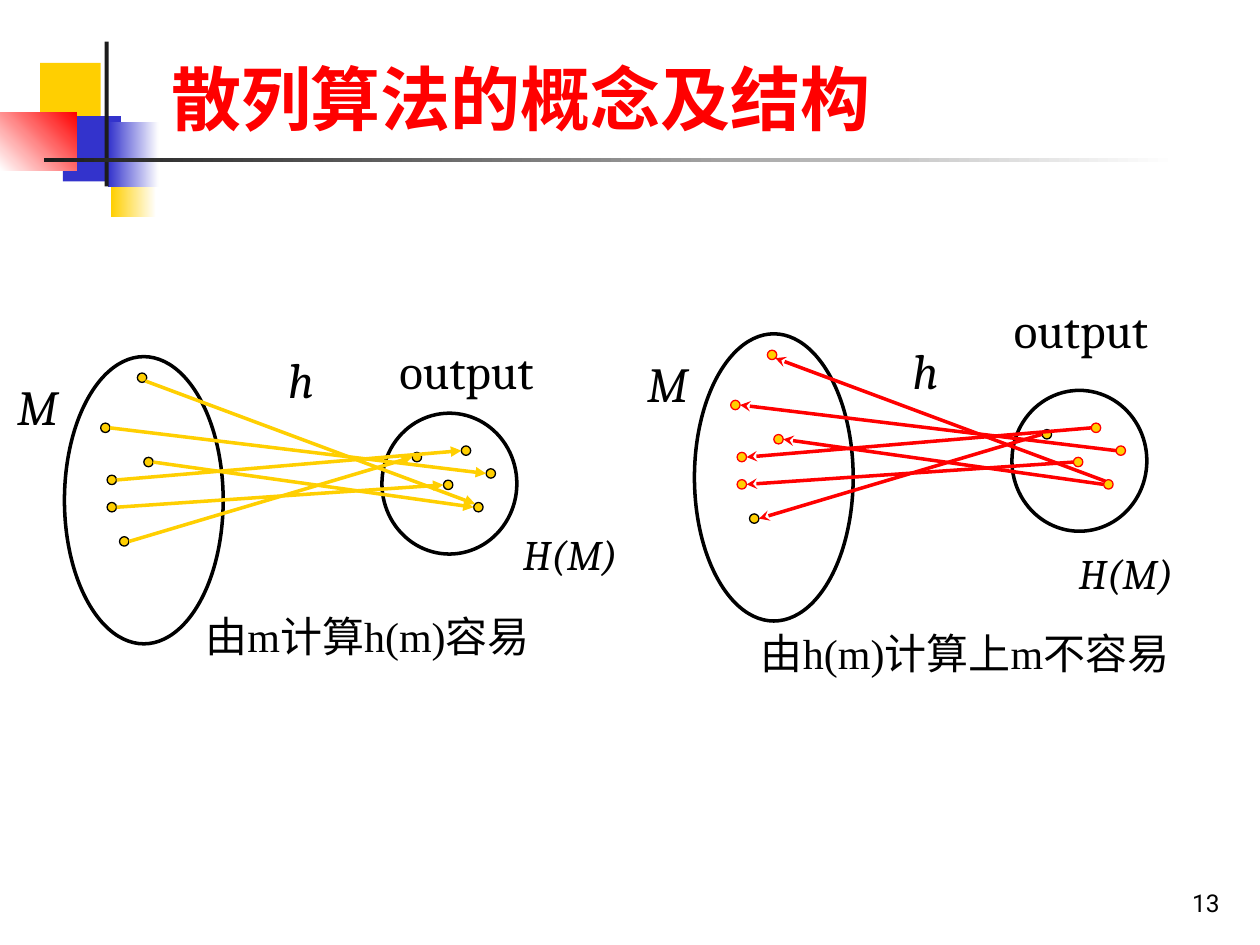
from pptx import Presentation
from pptx.dml.color import RGBColor
from pptx.enum.shapes import MSO_CONNECTOR as Conn, MSO_SHAPE as Geo
from pptx.enum.text import MSO_ANCHOR as Anchor, MSO_AUTO_SIZE as Fit, PP_ALIGN as Align
from pptx.oxml.ns import qn
from pptx.util import Cm, Pt
from lxml.etree import SubElement as Sub

BLACK = RGBColor(0x00, 0x00, 0x00)
WHITE = RGBColor(0xFF, 0xFF, 0xFF)
RED = RGBColor(0xFF, 0x00, 0x00)
GOLD = RGBColor(0xFF, 0xCF, 0x01)
BLUE = RGBColor(0x33, 0x33, 0xCC)
DARK = RGBColor(0x1C, 0x1C, 0x1C)

DOT = 0.19
MATH = {"name": "Cambria", "size": Pt(28), "italic": True}
WORD = {"name": "Cambria", "size": Pt(28)}
HASH = {"name": "Cambria", "size": Pt(24), "italic": True}
NOTE = {"name": "Times New Roman", "size": Pt(24)}
HEAD = {"name": "Roboto", "size": Pt(40), "bold": True}
PAGE = {"name": "Roboto", "size": Pt(14)}

# Top left corners of the dots in each set, before any shift
INPUT = [(2.03, 8.53), (2.41, 10.82), (2.9, 9.22), (2.16, 9.58), (2.16, 10.13), (2.77, 7.52)]
OUTPUT = [(9.8, 9.45), (8.31, 9.12), (9.55, 10.13), (9.3, 8.99), (8.94, 9.68)]
ODD = 1  # the pair that keeps a black outline
LAST = 5  # the pair that shares the output dot of pair 2


class Board:
    """Holds the style and the current slide; all lengths are in cm."""

    def __init__(self, slide):
        self.slide = slide
        self.thick, self.thin = Pt(2), Pt(0.75)

    def shape(self, geo, box):
        item = self.slide.shapes.add_shape(geo, *map(Cm, box))
        item.shadow.inherit = False
        return item

    def block(self, box, *tones, angle=0):
        item = self.shape(Geo.RECTANGLE, box)
        item.line.fill.background()
        if len(tones) == 1:
            item.fill.solid()
            item.fill.fore_color.rgb = tones[0]
            return
        item.fill.gradient()
        item.fill.gradient_angle = angle
        for stop, tone in zip(item.fill.gradient_stops, tones):
            stop.color.rgb = tone

    def ring(self, box):
        item = self.shape(Geo.OVAL, box)
        item.fill.background()
        item.line.color.rgb, item.line.width = BLACK, self.thick

    def dot(self, x, y, tone):
        item = self.shape(Geo.OVAL, (x, y, DOT, DOT))
        item.fill.solid()
        item.fill.fore_color.rgb = GOLD
        item.line.color.rgb, item.line.width = tone, self.thin

    def arrow(self, start, end, tone, tip, kind):
        item = self.slide.shapes.add_connector(Conn.STRAIGHT, *map(Cm, start + end))
        item.line.color.rgb, item.line.width = tone, self.thick
        Sub(item.line._get_or_add_ln(), qn("a:" + tip), type=kind)
        Sub(item._element.spPr, qn("a:effectLst"))

    def text(self, box, words, style, tone=BLACK, align=Align.LEFT,
             anchor=Anchor.TOP, wrap=False, fit=Fit.SHAPE_TO_FIT_TEXT):
        frame = self.slide.shapes.add_textbox(*map(Cm, box)).text_frame
        form = {"word_wrap": wrap, "auto_size": fit, "vertical_anchor": anchor}
        for key, value in form.items():
            setattr(frame, key, value)
        para = frame.paragraphs[0]
        para.alignment = align
        run = para.add_run()
        run.text = words
        for key, value in style.items():
            setattr(run.font, key, value)
        run.font.color.rgb = tone

    def map(self, dx, dy, tone, edge, tip, kind):
        """Draws the two sets, their dots and the arrows between them."""
        self.ring((1.3 + dx, 7.19 + dy, 3.2, 5.79))
        self.ring((7.7 + dx, 8.33 + dy, 2.72, 2.84))
        for i, (x, y) in enumerate(INPUT):
            u, v = OUTPUT[2 if i == LAST else i]
            x, y, u, v = x + dx, y + dy, u + dx, v + dy
            rim = BLACK if i == ODD else edge
            self.dot(x, y, rim)
            if i == LAST:
                start, end = (x + 0.16, y + 0.16), (u + 0.03, v + 0.03)
            else:
                self.dot(u, v, rim)
                start, end = (x + DOT, y + DOT / 2), (u, v + DOT / 2)
            self.arrow(start, end, tone, tip, kind)
        self.text((dx, 7.47 + dy, 1.42, 1.45), "M", MATH, align=Align.RIGHT)


def main():
    deck = Presentation()
    deck.slide_width, deck.slide_height = Cm(25.4), Cm(19.05)
    board = Board(deck.slides.add_slide(deck.slide_layouts[6]))

    # Corner blocks and rules
    board.block((0.81, 1.27, 1.22, 1.32), GOLD)
    board.block((2.24, 3.05, 0.91, 1.32), GOLD, WHITE)
    board.block((1.27, 2.34, 1.17, 1.32), BLUE)
    board.block((2.18, 2.46, 1.02, 1.32), BLUE, WHITE)
    board.block((0, 2.26, 1.55, 1.17), WHITE, RED, angle=45)
    board.block((2.11, 0.84, 0.08, 2.92), DARK)
    board.block((0.89, 3.18, 22.86, 0.08), DARK, WHITE)

    # Title and page number
    fixed = {"anchor": Anchor.BOTTOM, "wrap": True, "fit": Fit.NONE}
    board.text((3.2, 0.58, 21.64, 2.36), "散列算法的概念及结构", HEAD, RED, **fixed)
    board.text((19.56, 17.35, 5.28, 1.27), "13", PAGE, align=Align.RIGHT, **fixed)

    # Forward map on the left, inverse map on the right
    board.map(0, 0, GOLD, BLACK, "tailEnd", "triangle")
    board.map(12.7, -0.46, RED, RED, "headEnd", "stealth")

    # Labels of both maps
    for x, y in ((7.8, 6.73), (20.19, 5.92)):
        board.text((x, y, 3.63, 1.45), "output", WORD)
    for x, y in ((5.49, 6.93), (18.08, 6.73)):
        board.text((x, y, 1.09, 1.45), "h", MATH, align=Align.RIGHT)
    for x, y in ((9.09, 10.52), (20.29, 10.92)):
        board.text((x, y, 3.61, 1.27), "H(M)", HASH, align=Align.RIGHT, wrap=True)
    board.text((3.89, 12.19, 7.85, 1.27), "由m计算h(m)容易", NOTE)
    board.text((15.09, 12.52, 9.55, 1.27), "由h(m)计算上m不容易", NOTE)

    deck.save("out.pptx")


if __name__ == "__main__":
    main()
